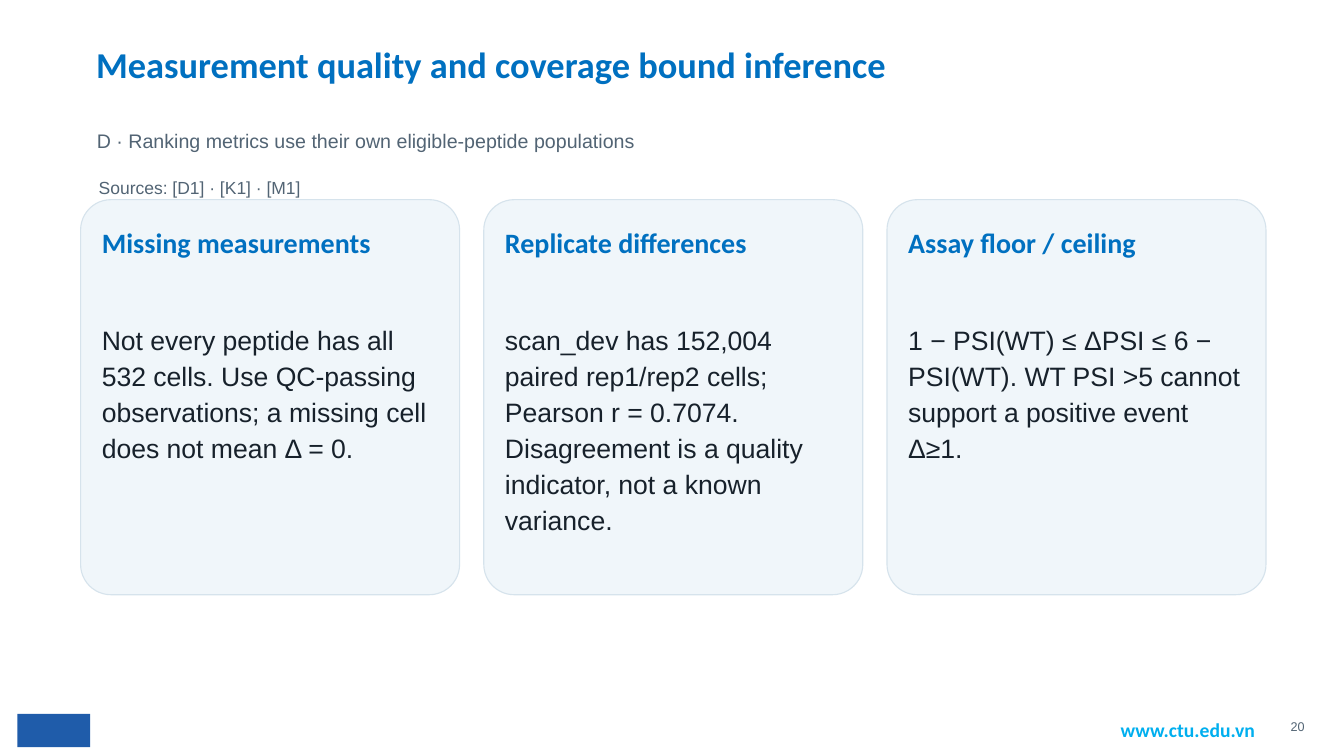
from pptx import Presentation
from pptx.dml.color import RGBColor
from pptx.enum.shapes import MSO_SHAPE
from pptx.enum.text import MSO_ANCHOR, MSO_AUTO_SIZE, PP_ALIGN
from pptx.util import Pt

ROUNDED, RECTANGLE = MSO_SHAPE.ROUNDED_RECTANGLE, MSO_SHAPE.RECTANGLE
TOP = MSO_ANCHOR.TOP
LEFT, RIGHT = PP_ALIGN.LEFT, PP_ALIGN.RIGHT
NO_FIT = MSO_AUTO_SIZE.NONE

BLUE, GRAY, INK = "0070C0", "526474", "17212B"
SKY, NAVY = "00AFEF", "1F5CAA"
CARD_FILL, CARD_LINE = "F0F6FA", "D6E3EC"


def color(value):
    return RGBColor.from_string(value)


def write(box, bounds, text, size, font, fill, bold=False, align=LEFT,
          inset=(0.72, 0.72), spacing=1.13, after=3):
    box.left, box.top, box.width, box.height = (Pt(value) for value in bounds)
    frame = box.text_frame
    frame.word_wrap = True
    frame.auto_size = NO_FIT
    frame.vertical_anchor = TOP
    frame.margin_left = frame.margin_right = Pt(inset[0])
    frame.margin_top = frame.margin_bottom = Pt(inset[1])
    para = frame.paragraphs[0]
    para.alignment = align
    para.line_spacing = spacing
    para.space_before = Pt(0)
    para.space_after = Pt(after)
    span = para.add_run()
    span.text = text
    span.font.size = Pt(size)
    span.font.name = font
    span.font.bold = bold
    span.font.color.rgb = color(fill)


deck = Presentation()
deck.slide_width, deck.slide_height = Pt(960), Pt(540)
page = deck.slides.add_slide(deck.slide_layouts[5])
shapes = page.shapes

footer_block = shapes.add_shape(RECTANGLE, Pt(12.5), Pt(510), Pt(52), Pt(23.7))
footer_block.shadow.inherit = False
footer_block.fill.solid()
footer_block.fill.fore_color.rgb = color(NAVY)
footer_block.line.fill.background()

write(shapes.add_textbox(0, 0, 0, 0), (793.4, 509, 118, 24.5), "www.ctu.edu.vn",
      14, "Calibri", SKY, True, inset=(7.2, 3.6), spacing=1, after=0)
write(shapes.title, (67.9, 25.2, 839, 59), "Measurement quality and coverage bound inference",
      26, "Calibri", BLUE, True)
write(shapes.add_textbox(0, 0, 0, 0), (68.4, 89.3, 832, 34.6),
      "D · Ranking metrics use their own eligible-peptide populations", 14, "Arial", GRAY)
write(shapes.add_textbox(0, 0, 0, 0), (69.8, 123.8, 826, 19.4),
      "Sources: [D1] · [K1] · [M1]", 12.5, "Arial", GRAY)
write(shapes.add_textbox(0, 0, 0, 0), (911, 511.2, 21.6, 14.4),
      "20", 9, "Arial", GRAY, align=RIGHT)

cards = [
    ("Missing measurements",
     "Not every peptide has all 532 cells. Use QC-passing observations; "
     "a missing cell does not mean Δ = 0."),
    ("Replicate differences",
     "scan_dev has 152,004 paired rep1/rep2 cells; Pearson r = 0.7074. "
     "Disagreement is a quality indicator, not a known variance."),
    ("Assay floor / ceiling",
     "1 − PSI(WT) ≤ ΔPSI ≤ 6 − PSI(WT). WT PSI >5 cannot support a positive event Δ≥1."),
]
for index, (heading, body) in enumerate(cards):
    left = 57.6 + 288 * index
    card = shapes.add_shape(ROUNDED, Pt(left), Pt(142.6), Pt(270.7), Pt(282.2))
    card.adjustments[0] = 0.08
    card.shadow.inherit = False
    card.fill.solid()
    card.fill.fore_color.rgb = color(CARD_FILL)
    card.line.color.rgb = color(CARD_LINE)
    card.line.width = Pt(0.8)
    write(shapes.add_textbox(0, 0, 0, 0), (left + 14.4, 157, 242, 63.4),
          heading, 20, "Calibri", BLUE, True)
    write(shapes.add_textbox(0, 0, 0, 0), (left + 14.4, 227.5, 242, 185.8),
          body, 19, "Arial", INK)

deck.save("out.pptx")
